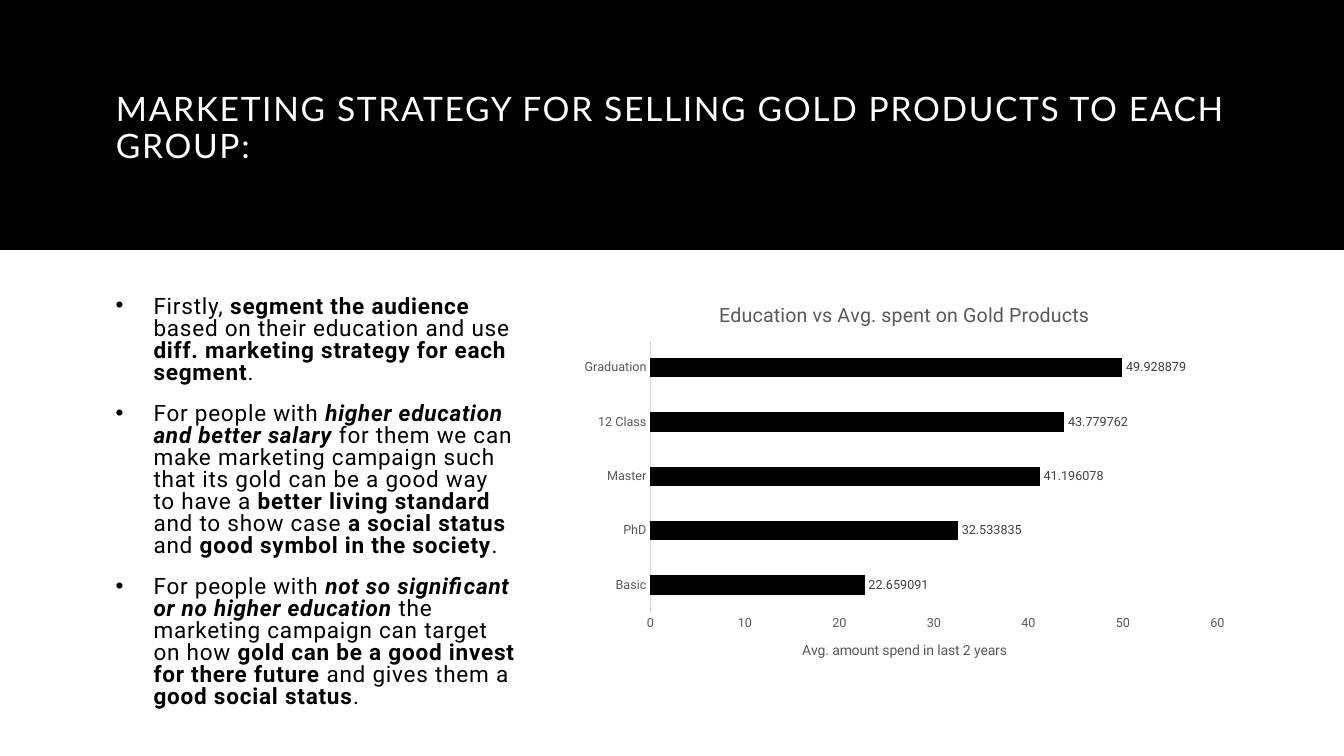
from lxml.etree import SubElement
from pptx import Presentation
from pptx.chart.data import CategoryChartData
from pptx.dml.color import RGBColor
from pptx.enum.chart import XL_CHART_TYPE as CHART, XL_LABEL_POSITION as LABEL, XL_TICK_MARK as TICK
from pptx.enum.shapes import MSO_SHAPE as SHAPE
from pptx.enum.text import MSO_ANCHOR as ANCHOR, MSO_AUTO_SIZE as AUTO, PP_ALIGN as ALIGN
from pptx.oxml.ns import qn
from pptx.util import Pt

COLORS = {"black": "000000", "white": "FFFFFF", "label": "404040",
          "muted": "595959", "line": "D9D9D9"}
HEAD, BODY = "Lato", "Roboto"

TITLE = "MARKETING STRATEGY FOR SELLING GOLD PRODUCTS TO EACH GROUP:"

# Each run is its text and its style: "b" bold, "i" italic
BULLETS = [
    [("Firstly, ", ""), ("segment the audience ", "b"),
     ("based on their education and use ", ""),
     ("diff. marketing strategy for each segment", "b"), (".", "")],
    [("For people with ", ""), ("higher education and better salary ", "bi"),
     ("for them we can make marketing campaign such that its gold can be a good way to have a ", ""),
     ("better living standard ", "b"), ("and to show case ", ""),
     ("a social status ", "b"), ("and ", ""),
     ("good symbol in the society", "b"), (".", "")],
    [("For people with ", ""), ("not so significant or no higher education ", "bi"),
     ("the marketing campaign can target on how ", ""),
     ("gold can be a good invest for there future ", "b"),
     ("and gives them a ", ""), ("good social status", "b"), (".", "")],
]

SPENDING = {"Basic": 22.659091, "PhD": 32.533835, "Master": 41.196078,
            "12 Class": 43.779762, "Graduation": 49.928879}


class SlideBuilder:
    """Holds the style and the current slide."""

    def __init__(self, prs):
        self.s = prs.slides.add_slide(prs.slide_layouts[5])

    def color(self, name):
        return RGBColor.from_string(COLORS[name])

    def font(self, font, size, color, name=BODY, bold=False, italic=False):
        font.name, font.size = name, Pt(size)
        font.bold, font.italic = bold, italic
        font.color.rgb = self.color(color)

    def run(self, r, spacing, *args, **kwargs):
        self.font(r.font, *args, **kwargs)
        r._r.get_or_add_rPr().set("spc", str(round(spacing * 100)))

    def frame(self, sp):
        tf = sp.text_frame
        tf.word_wrap, tf.auto_size = True, AUTO.NONE
        tf.vertical_anchor = ANCHOR.MIDDLE
        return tf

    def title(self, text, x, y, w, h):
        sp = self.s.shapes.title
        sp.left, sp.top, sp.width, sp.height = Pt(x), Pt(y), Pt(w), Pt(h)
        tf = self.frame(sp)
        tf.text = text
        p = tf.paragraphs[0]
        p.alignment, p.line_spacing = ALIGN.LEFT, 0.9
        self.run(p.runs[0], 1.2, 24, "white", HEAD)

    def band(self, x, y, w, h, color):
        sp = self.s.shapes.add_shape(SHAPE.RECTANGLE, Pt(x), Pt(y), Pt(w), Pt(h))
        sp.shadow.inherit = False
        sp.fill.solid()
        sp.fill.fore_color.rgb = self.color(color)
        sp.line.fill.background()
        # Keep the band behind the title
        self.s.shapes.title.element.addprevious(sp.element)

    def bullets(self, items, x, y, w, h, indent=27):
        tf = self.frame(self.s.shapes.add_textbox(Pt(x), Pt(y), Pt(w), Pt(h)))
        for i, item in enumerate(items):
            p = tf.add_paragraph() if i else tf.paragraphs[0]
            p.line_spacing = 0.81
            p.space_before = p.space_after = Pt(7)
            pPr = p._p.get_or_add_pPr()
            pPr.set("marL", str(Pt(indent)))
            pPr.set("indent", str(-Pt(indent)))
            SubElement(pPr, qn("a:buFont"), typeface="Arial")
            SubElement(pPr, qn("a:buChar"), char="•")
            for text, style in item:
                r = p.add_run()
                r.text = text
                self.run(r, 0.56, 16.1, "black", bold="b" in style, italic="i" in style)

    def heading(self, owner, text, size):
        tf = (owner.chart_title if hasattr(owner, "chart_title") else owner.axis_title).text_frame
        tf.text = text
        self.font(tf.paragraphs[0].runs[0].font, size, "muted")

    def bar_chart(self, values, title, axis_title, x, y, w, h, plot):
        data = CategoryChartData()
        data.categories = list(values)
        data.add_series("Series 1", list(values.values()))
        chart = self.s.shapes.add_chart(
            CHART.BAR_CLUSTERED, Pt(x), Pt(y), Pt(w), Pt(h), data).chart
        self.font(chart.font, 10, "black")
        chart.has_legend = False
        self.heading(chart, title, 14)

        # Axes
        cat, val = chart.category_axis, chart.value_axis
        for axis in (cat, val):
            axis.has_major_gridlines = False
            axis.major_tick_mark = axis.minor_tick_mark = TICK.NONE
            self.font(axis.tick_labels.font, 9, "muted")
        cat.format.line.color.rgb = self.color("line")
        cat.format.line.width = Pt(0.75)
        val.format.line.fill.background()
        val.minimum_scale, val.maximum_scale, val.major_unit = 0, 60, 10
        self.heading(val, axis_title, 10)

        # Bars and value labels
        bars = chart.plots[0]
        bars.gap_width, bars.vary_by_categories = 182, False
        fill = bars.series[0].format.fill
        fill.solid()
        fill.fore_color.rgb = self.color("black")
        bars.has_data_labels = True
        labels = bars.data_labels
        labels.show_value, labels.position = True, LABEL.OUTSIDE_END
        self.font(labels.font, 9, "label")

        # Plot area in points, stored as fractions of the chart
        area = chart.element.find(".//" + qn("c:plotArea"))
        layout = area.find(qn("c:layout"))
        if layout is None:
            layout = SubElement(area, qn("c:layout"))
            area.insert(0, layout)
        manual = SubElement(layout, qn("c:manualLayout"))
        left, top, width, height = plot
        fractions = ((left - x) / w, (top - y) / h, width / w, height / h)
        settings = [("layoutTarget", "inner"), ("xMode", "edge"), ("yMode", "edge")]
        for tag, value in settings + list(zip("xywh", fractions)):
            SubElement(manual, qn("c:" + tag), val=str(value))


def main():
    prs = Presentation()
    prs.slide_width, prs.slide_height = Pt(960), Pt(540)
    b = SlideBuilder(prs)

    # Header
    b.band(0, 0, 960, 178.5, "black")
    b.title(TITLE, 75.6, 25.2, 808.6, 133.9)

    # Strategy text
    b.bullets(BULLETS, 75.6, 199, 300.2, 320)

    # Spending chart
    b.bar_chart(SPENDING, "Education vs Avg. spent on Gold Products",
                "Avg. amount spend in last 2 years",
                408.2, 203, 475.9, 284.5, plot=(464.6, 243.3, 405, 194))

    prs.save("out.pptx")


if __name__ == "__main__":
    main()
